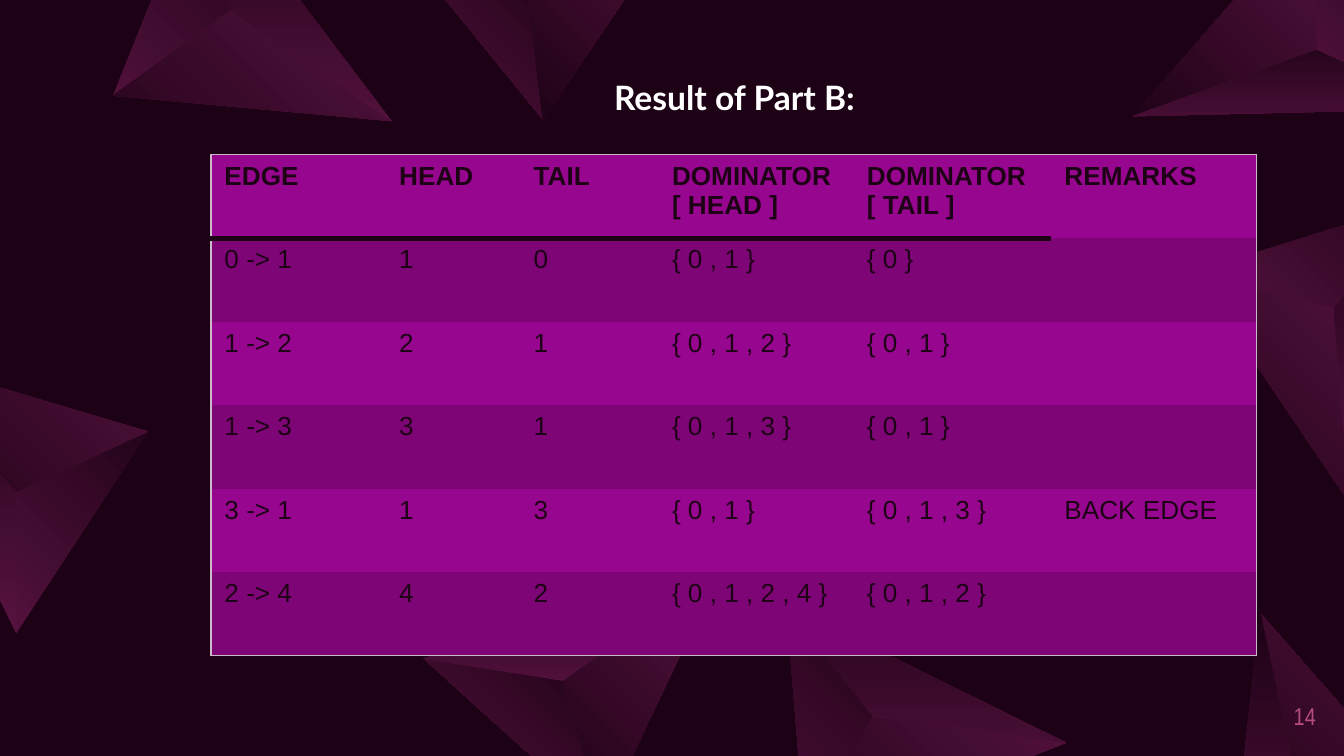
from math import cos, sin, radians
from pptx import Presentation
from pptx.dml.color import RGBColor
from pptx.enum import text
from pptx.oxml.ns import qn
from pptx.util import Inches, Pt
from lxml import etree

DARK = RGBColor(0x1D, 0x02, 0x16)
PLUM = RGBColor(0x59, 0x13, 0x41)
BRIGHT = RGBColor(0x96, 0x06, 0x8E)
DEEP = RGBColor(0x7E, 0x05, 0x76)
EDGE = RGBColor(0xCB, 0xB8, 0xC9)
PINK = RGBColor(0xB6, 0x4B, 0x7F)
WHITE = RGBColor(0xFF, 0xFF, 0xFF)

TITLE = "Result of Part B:"
PAGE = "14"
ROWS = [
    ("EDGE", "HEAD", "TAIL", "DOMINATOR [ HEAD ]", "DOMINATOR [ TAIL ]", "REMARKS"),
    ("0 -> 1", "1", "0", "{ 0 , 1 }", "{ 0 }", ""),
    ("1 -> 2", "2", "1", "{ 0 , 1 , 2 }", "{ 0 , 1 }", ""),
    ("1 -> 3", "3", "1", "{ 0 , 1 , 3 }", "{ 0 , 1 }", ""),
    ("3 -> 1", "1", "3", "{ 0 , 1 }", "{ 0 , 1 , 3 }", "BACK EDGE"),
    ("2 -> 4", "4", "2", "{ 0 , 1 , 2 , 4 }", "{ 0 , 1 , 2 }", ""),
]
WIDTHS = [1.3, 1, 1.03, 1.45, 1.47, 1.53]
HIGH = 3.73

# Facets of an upright gem, seen from its first corner: points, gradient angle
FACETS = {
    "left": ([(0, 0), (1.13, 1.39), (1, 0.32)], 45),
    "right": ([(1.13, 1.39), (2.3, -0.33), (1, 0.32)], 225),
    "top": ([(0, 0), (1, 0.32), (2.3, -0.33)], 90),
}
# Gems: first corner, turn, facets that reach the slide
ALL = ("left", "right", "top")
GEMS = [
    (9.12, 6.87, 284.5, ("right", "top")),
    (2.91, -0.5, 0, ("left", "right")),
    (10.75, 0.81, 186.8, ALL),
    (10.59, 1.49, 111.7, ALL),
    (3.15, 4.9, 351.2, ALL),
    (0.12, 4.71, 252.3, ALL),
    (1.51, -0.95, 61, ALL),
    (5.85, 4.5, 34.4, ALL),
]


def add_facet(slide, x, y, turn, name):
    points, angle = FACETS[name]
    xs, ys = zip(*points)
    mx, my = (min(xs) + max(xs)) / 2, (min(ys) + max(ys)) / 2
    c, s = cos(radians(turn)), sin(radians(turn))
    # Swing the facet's centre round the corner, then turn it in place
    dx, dy = x + c * mx - s * my - mx, y + s * mx + c * my - my
    moved = [(Inches(px + dx), Inches(py + dy)) for px, py in points]
    path = slide.shapes.build_freeform(*moved[0])
    path.add_line_segments(moved[1:], close=True)
    facet = path.convert_to_shape()
    facet.rotation = turn
    facet.shadow.inherit = False
    facet.line.fill.background()
    facet.fill.gradient()
    facet.fill.gradient_angle = angle
    for stop, color in zip(facet.fill.gradient_stops, (PLUM, DARK)):
        stop.color.rgb = color
    facet._element.spPr.find(qn("a:gradFill")).set("rotWithShape", "0")


def style(para, font, size, color, bold=False):
    for run in para.runs:
        run.font.name, run.font.size = font, Pt(size)
        run.font.color.rgb, run.font.bold = color, bold


def add_label(slide, box, words, font, size, color, bold=False):
    label = slide.shapes.add_textbox(*map(Inches, box))
    frame = label.text_frame
    frame.word_wrap = True
    frame.text = words
    style(frame.paragraphs[0], font, size, color, bold)
    return frame


def set_borders(cell, lines):
    props = cell._tc.get_or_add_tcPr()
    for spot, side in enumerate("LRTB"):
        color, width = lines.get(side, (None, 0))
        line = etree.Element(qn("a:ln" + side), w=str(Pt(width)))
        if color is None:
            etree.SubElement(line, qn("a:noFill"))
        else:
            fill = etree.SubElement(line, qn("a:solidFill"))
            etree.SubElement(fill, qn("a:srgbClr"), val=str(color))
        props.insert(spot, line)


def add_grid(slide):
    last_row, last_col = len(ROWS) - 1, len(WIDTHS) - 1
    grid = slide.shapes.add_table(
        len(ROWS), len(WIDTHS), Inches(1.57), Inches(1.15),
        Inches(sum(WIDTHS)), Inches(HIGH)).table
    for col, width in zip(grid.columns, WIDTHS):
        col.width = Inches(width)
    for r, row in enumerate(ROWS):
        grid.rows[r].height = Inches(HIGH / len(ROWS))
        for c, words in enumerate(row):
            cell = grid.cell(r, c)
            cell.text = words
            style(cell.text_frame.paragraphs[0], "Arial", 14, DARK, r == 0)
            cell.fill.solid()
            cell.fill.fore_color.rgb = DEEP if r % 2 else BRIGHT
            # Thin frame outside, thick rule under all headings but the last
            outer = {"L": c == 0, "R": c == last_col,
                     "T": r == 0, "B": r == last_row}
            lines = {side: (EDGE, 0.75) for side, on in outer.items() if on}
            if c < last_col and r < 2:
                lines["T" if r else "B"] = (DARK, 3)
            set_borders(cell, lines)


def main():
    deck = Presentation()
    deck.slide_width = Inches(10)
    deck.slide_height = deck.slide_width * 9 // 16
    slide = deck.slides.add_slide(deck.slide_layouts[6])
    slide.background.fill.solid()
    slide.background.fill.fore_color.rgb = DARK

    # Gems behind everything
    for x, y, turn, names in GEMS:
        for name in names:
            add_facet(slide, x, y, turn, name)

    # Page number
    frame = add_label(slide, (9.35, 5.11, 0.44, 0.43), PAGE, "Arial Narrow", 13, PINK)
    frame.margin_left = frame.margin_right = frame.margin_top = frame.margin_bottom = 0
    frame.vertical_anchor = text.MSO_ANCHOR.MIDDLE
    frame.paragraphs[0].alignment = text.PP_ALIGN.RIGHT

    # Title and table
    add_label(slide, (4.47, 0.52, 3.95, 0.4), TITLE, "Lato", 18, WHITE, True)
    add_grid(slide)
    deck.save("out.pptx")


if __name__ == "__main__":
    main()
